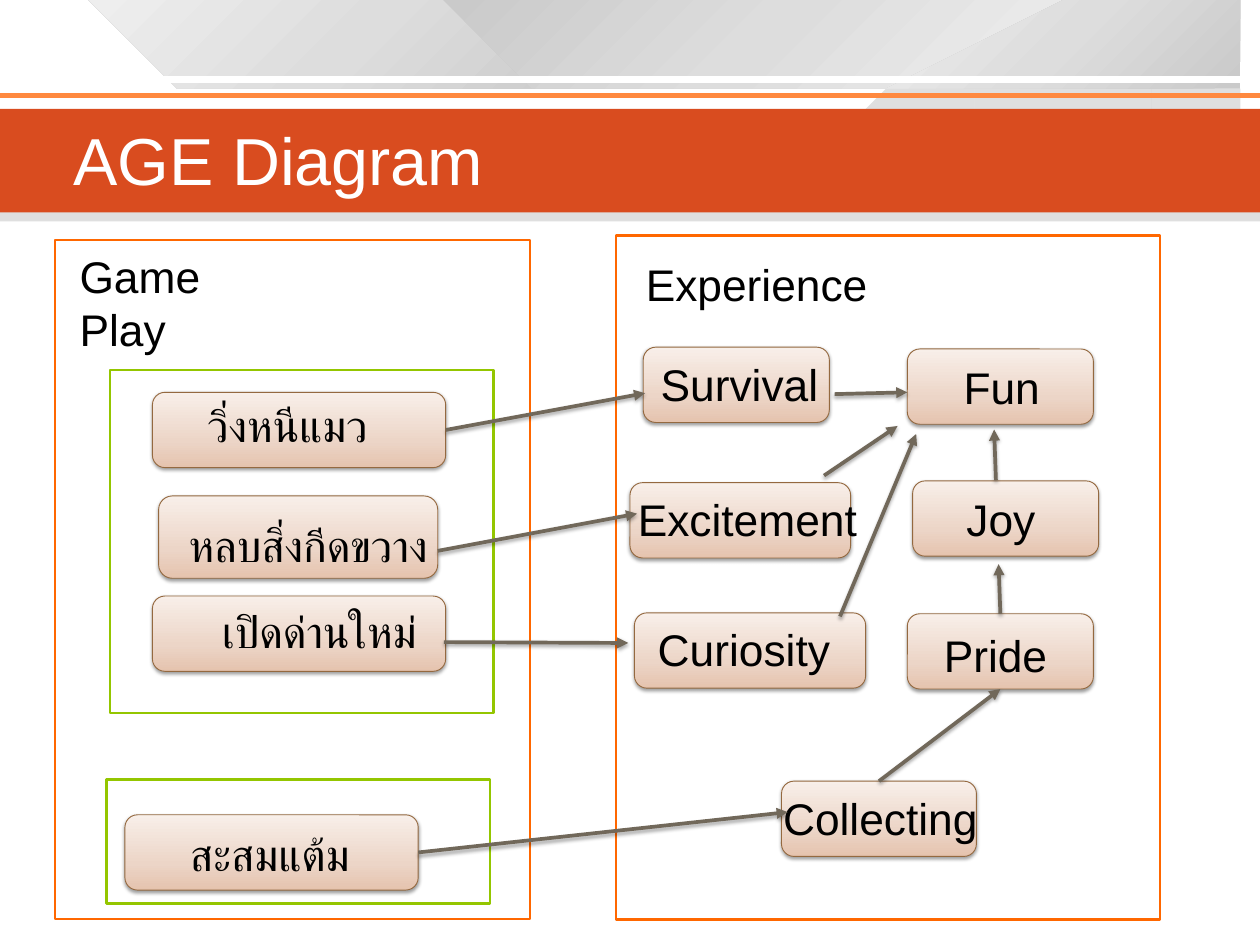
from dataclasses import dataclass
from typing import NamedTuple

import lxml.etree
import pptx
import pptx.dml.color
import pptx.enum.shapes
import pptx.enum.text
import pptx.oxml.ns
import pptx.util

COLUMNS, ROWS = 14.22, 10.67  # grid of one-inch cells
CELL = pptx.util.Inches(1)
COLORS = {
    "white": "FFFFFF", "black": "000000", "band": "D94C1F", "stripe": "FF893F",
    "gray": "808080", "panel": "FF6700", "group": "94C600",
    "card edge": "946940", "arrow": "71685A",
}
CARD_STOPS = [(0, "E5C3AE"), (35, "ECD5C7"), (100, "F8EFE9")]
HEADER_STOPS = [(1, "CACACA"), (50, "DDDDDD"), (100, "EEEEEE")]
TOP, LEFT, BOTTOM, RIGHT = range(4)
CENTER = pptx.enum.text.PP_ALIGN.CENTER
START = pptx.enum.text.PP_ALIGN.LEFT
RECTANGLE = pptx.enum.shapes.MSO_SHAPE.RECTANGLE
ROUNDED = pptx.enum.shapes.MSO_SHAPE.ROUNDED_RECTANGLE


class Point(NamedTuple):
    column: float
    row: float


class Box(NamedTuple):
    column: float
    row: float
    columns: float
    rows: float


class Side(NamedTuple):
    card: str
    site: int


@dataclass
class Card:
    label: str
    box: Box
    label_at: Point
    label_columns: float = 2.91
    align: pptx.enum.text.PP_ALIGN = CENTER


@dataclass
class Panel:
    box: Box
    edge: str


@dataclass
class Arrow:
    begin: Point | Side
    end: Point | Side


@dataclass
class Facet:
    """A header polygon; gradient angle None means translucent gray."""
    points: list[tuple[float, float]]
    angle: int | None = None


FACETS = [
    Facet([(9.55, 1), (8.92, 2.36), (10.71, 2.36), (11.35, 1)]),
    Facet([(13.32, 2.36), (12.7, 1), (11.46, 1), (10.84, 2.36)]),
    Facet([(12.8, 1), (13.4, 2.36), (COLUMNS, 2.36), (COLUMNS, 1)]),
    Facet([(1.71, 1), (1.2, 0), (5.1, 0), (6.95, 1)], 225),
    Facet([(11.93, 0), (10.11, 1), (6.48, 1), (4.67, 0)], 45),
    Facet([(9.9, 1), (11.67, 0), (COLUMNS, 0), (COLUMNS, 1)], 225),
]
PANELS = [
    Panel(Box(6.95, 2.66, 6.14, 7.72), "panel"),
    Panel(Box(0.62, 2.71, 5.36, 7.67), "panel"),
    Panel(Box(1.24, 4.18, 4.33, 3.87), "group"),
    Panel(Box(1.2, 8.8, 4.33, 1.4), "group"),
]
RUN, DODGE, UNLOCK, SCORE = "วิ่งหนีแมว", "หลบสิ่งกีดขวาง", "เปิดด่านใหม่", "สะสมแต้ม"
CARDS = [
    Card("Survival", Box(7.26, 3.92, 2.1, 0.85), Point(6.89, 3.98)),
    Card("Curiosity", Box(7.16, 6.92, 2.61, 0.85), Point(6.94, 6.98)),
    Card("Excitement", Box(7.11, 5.45, 2.49, 0.85), Point(6.98, 5.51)),
    Card("Collecting", Box(8.82, 8.82, 2.2, 0.85), Point(8.48, 8.88)),
    Card("Pride", Box(10.24, 6.93, 2.1, 0.85), Point(9.78, 7.04)),
    Card("Joy", Box(10.3, 5.43, 2.1, 0.85), Point(9.84, 5.51)),
    Card("Fun", Box(10.24, 3.94, 2.1, 0.85), Point(9.85, 4.02)),
    Card(RUN, Box(1.72, 4.43, 3.31, 0.85), Point(1.79, 4.45)),
    Card(DODGE, Box(1.79, 5.6, 3.15, 0.93), Point(2.03, 5.8), 3.4, START),
    Card(UNLOCK, Box(1.72, 6.73, 3.31, 0.85), Point(2.15, 6.77)),
    Card(SCORE, Box(1.41, 9.2, 3.31, 0.85), Point(1.59, 9.29)),
]
ARROWS = [
    Arrow(Point(9.48, 6.96), Point(10.34, 4.9)),
    Arrow(Side("Collecting", TOP), Side("Pride", BOTTOM)),
    Arrow(Side("Pride", TOP), Point(11.27, 6.37)),
    Arrow(Point(11.24, 5.42), Point(11.22, 4.85)),
    Arrow(Point(9.42, 4.45), Point(10.24, 4.43)),
    Arrow(Point(9.3, 5.37), Point(10.13, 4.81)),
    Arrow(Side(SCORE, RIGHT), Point(8.89, 9.17)),
    Arrow(Side(RUN, RIGHT), Point(7.28, 4.44)),
    Arrow(Point(4.94, 6.22), Point(7.19, 5.8)),
    Arrow(Point(5.01, 7.25), Point(7.09, 7.26)),
]


def rgb(name: str) -> pptx.dml.color.RGBColor:
    return pptx.dml.color.RGBColor.from_string(COLORS[name])


def grid(*lengths: float) -> list[int]:
    return [round(length * CELL) for length in lengths]


def add_element(parent, tag: str, **attributes):
    element = lxml.etree.SubElement(parent, pptx.oxml.ns.qn(tag))
    for key, value in attributes.items():
        element.set(key, str(value))
    return element


def fill_solid(shape, color: str, alpha: int = 100) -> None:
    shape.fill.solid()
    shape.fill.fore_color.rgb = rgb(color)
    if alpha < 100:
        value = next(shape.element.spPr.iter(pptx.oxml.ns.qn("a:srgbClr")))
        add_element(value, "a:alpha", val=alpha * 1000)


def fill_gradient(shape, stops: list[tuple[int, str]], angle: int) -> None:
    """Fill along a clockwise angle."""
    shape.fill.gradient()
    shape.fill.gradient_angle = 360 - angle
    stop_list = next(shape.element.spPr.iter(pptx.oxml.ns.qn("a:gsLst")))
    for stop in list(stop_list):
        stop_list.remove(stop)
    for position, color in stops:
        stop = add_element(stop_list, "a:gs", pos=position * 1000)
        add_element(stop, "a:srgbClr", val=color)


def add_shadow(effects, alpha: int, distance: float) -> None:
    shadow = add_element(effects, "a:outerShdw", blurRad=pptx.util.Pt(3.1),
                         dist=pptx.util.Pt(distance), dir=5400000, rotWithShape=0)
    color = add_element(shadow, "a:srgbClr", val=COLORS["black"])
    add_element(color, "a:alpha", val=alpha * 1000)


def add_block(slide, kind, box: Box, edge: str | None = None, width: float = 0):
    shape = slide.shapes.add_shape(kind, *grid(*box))
    shape.shadow.inherit = False
    if edge:
        shape.line.color.rgb = rgb(edge)
        shape.line.width = pptx.util.Pt(width)
    else:
        shape.line.fill.background()
    return shape


def add_line(slide, begin: Point, end: Point, color: str, width: float):
    """Add a line; return it with its empty effect list."""
    line = slide.shapes.add_connector(
        pptx.enum.shapes.MSO_CONNECTOR.STRAIGHT, *grid(*begin, *end))
    line.line.color.rgb = rgb(color)
    line.line.width = pptx.util.Pt(width)
    return line, add_element(line.element.spPr, "a:effectLst")


def add_label(slide, text: str, box: Box, align=START, size: int = 36,
              color: str = "black"):
    frame = slide.shapes.add_textbox(*grid(*box)).text_frame
    frame.word_wrap = True
    paragraph = frame.paragraphs[0]
    paragraph.text = text
    paragraph.alignment = align
    paragraph.font.name = "Arial"
    paragraph.font.size = pptx.util.Pt(size)
    paragraph.font.color.rgb = rgb(color)
    return frame


def add_facet(slide, facet: Facet) -> None:
    builder = slide.shapes.build_freeform(*facet.points[0], scale=CELL)
    builder.add_line_segments(facet.points[1:], close=True)
    shape = builder.convert_to_shape()
    shape.shadow.inherit = False
    shape.line.fill.background()
    if facet.angle is None:
        fill_solid(shape, "gray", 25)
    else:
        fill_gradient(shape, HEADER_STOPS, facet.angle)


def add_header(slide) -> None:
    fill_solid(add_block(slide, RECTANGLE, Box(0, 1.79, COLUMNS, 0.71)), "gray", 25)
    for facet in FACETS:
        add_facet(slide, facet)
    fill_solid(add_block(slide, RECTANGLE, Box(0, 1.23, COLUMNS, 1.17)), "band")
    add_line(slide, Point(0, 1.08), Point(COLUMNS, 1.08), "stripe", 4.5)
    add_line(slide, Point(1.44, 0.9), Point(COLUMNS, 0.9), "white", 6)
    title = add_label(slide, "AGE Diagram", Box(0.71, 0.94, 5.27, 1.7), size=54, color="white")
    title.vertical_anchor = pptx.enum.text.MSO_ANCHOR.MIDDLE
    title.margin_left = pptx.util.Inches(0.12)


def add_card(slide, card: Card):
    shape = add_block(slide, ROUNDED, card.box, "card edge", 0.75)
    fill_gradient(shape, CARD_STOPS, 270)
    add_shadow(shape.element.spPr.find(pptx.oxml.ns.qn("a:effectLst")), 38, 1.6)
    add_label(slide, card.label, Box(*card.label_at, card.label_columns, 0.72), card.align)
    return shape


def add_arrow(slide, arrow: Arrow, cards: dict) -> None:
    begin, end = (Point(0, 0) if isinstance(place, Side) else place
                  for place in (arrow.begin, arrow.end))
    line, effects = add_line(slide, begin, end, "arrow", 3)
    add_element(line.line._get_or_add_ln(), "a:tailEnd", type="triangle")
    add_shadow(effects, 35, 1.8)
    for place, connect in ((arrow.begin, line.begin_connect), (arrow.end, line.end_connect)):
        if isinstance(place, Side):
            connect(cards[place.card], place.site)


def main() -> None:
    presentation = pptx.Presentation()
    presentation.slide_width, presentation.slide_height = grid(COLUMNS, ROWS)
    slide = presentation.slides.add_slide(presentation.slide_layouts[6])
    add_header(slide)
    for panel in PANELS:
        fill_solid(add_block(slide, RECTANGLE, panel.box, panel.edge, 2), "white")
    add_label(slide, "Experience", Box(7.19, 2.85, 2.71, 0.72))
    add_label(slide, "Game Play", Box(0.8, 2.76, 2.6, 0.71))
    cards = {card.label: add_card(slide, card) for card in CARDS}
    for arrow in ARROWS:
        add_arrow(slide, arrow, cards)
    presentation.save("out.pptx")


if __name__ == "__main__":
    main()
